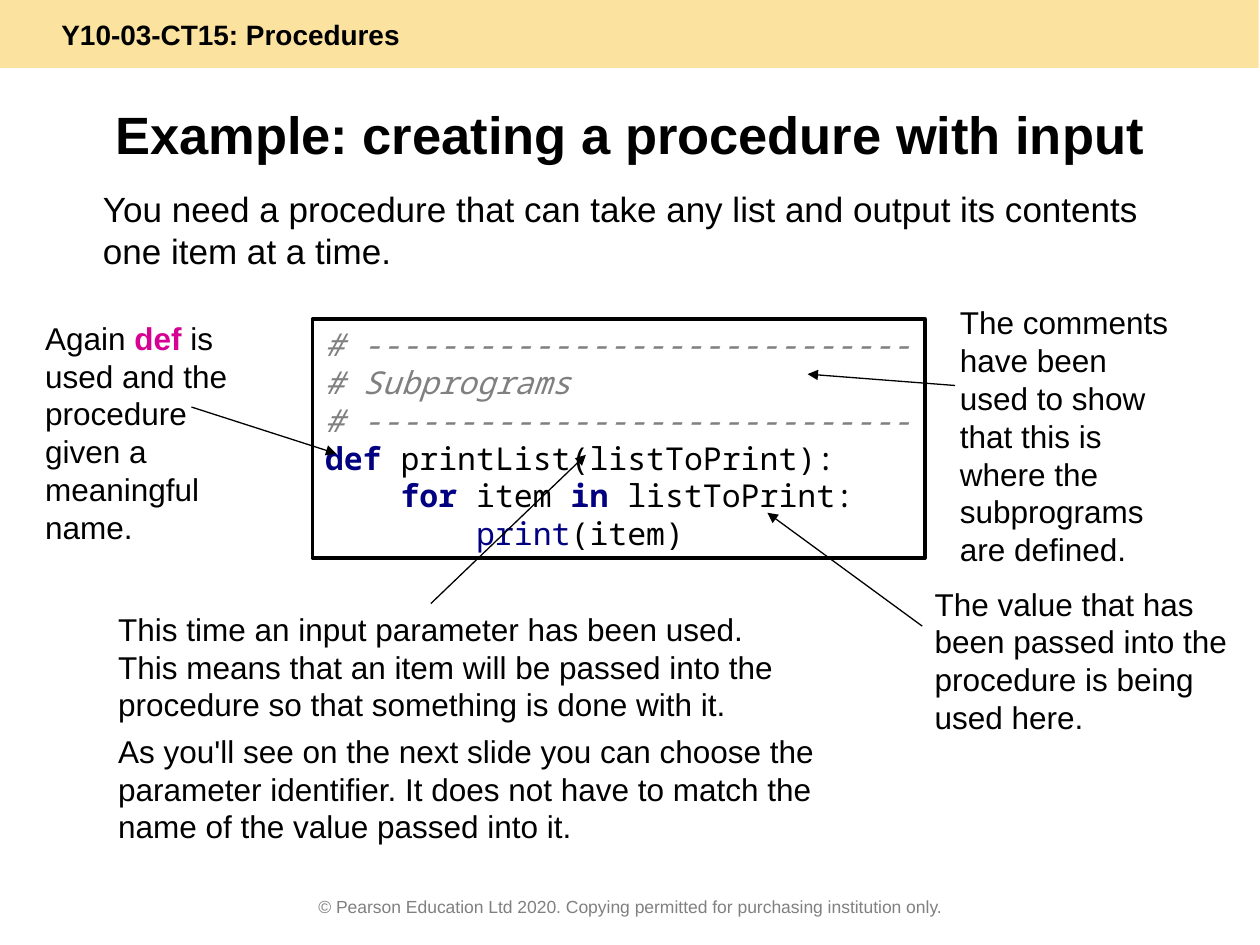
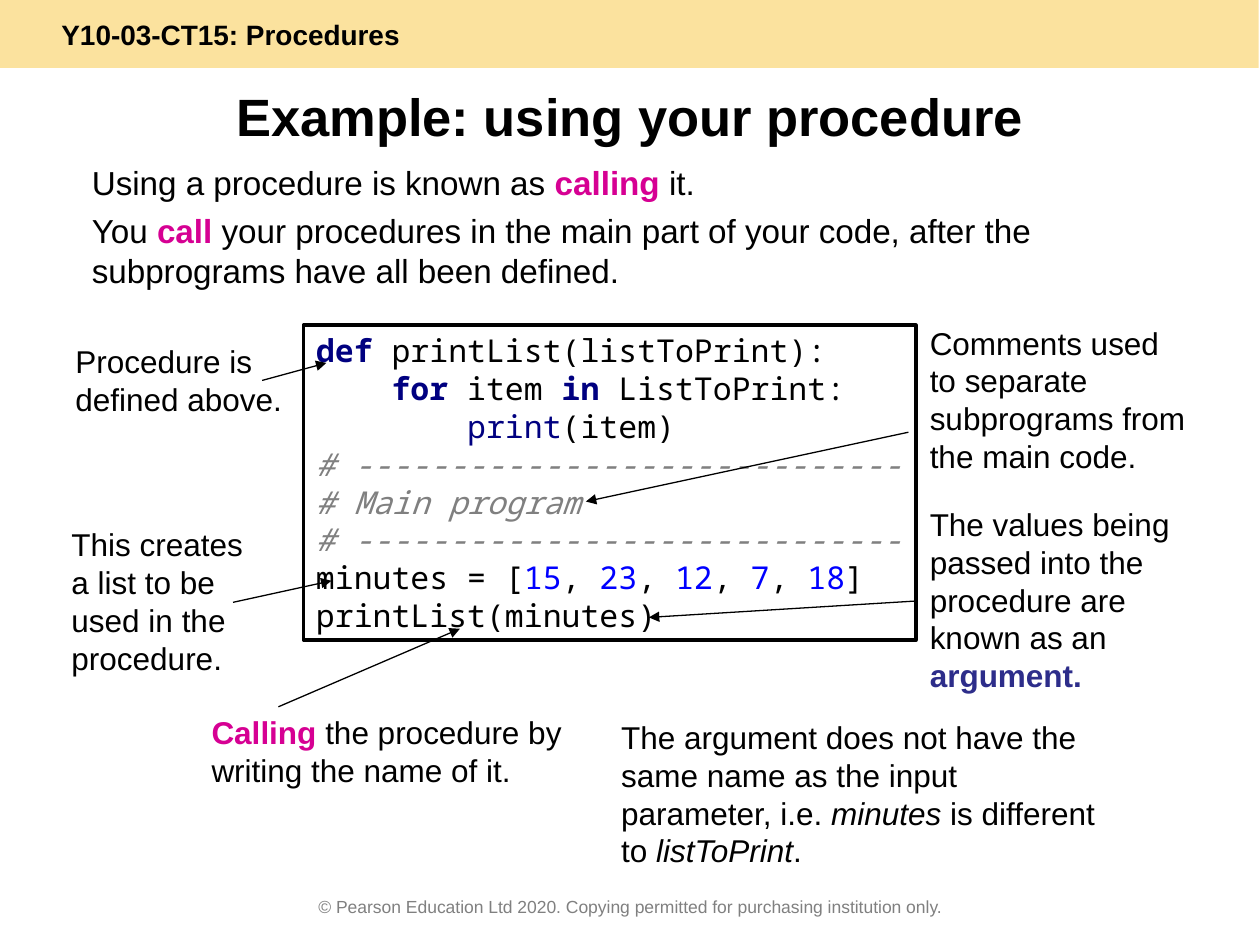
from lxml import etree
from pptx import Presentation
from pptx.dml.color import RGBColor
from pptx.enum import shapes, text
from pptx.oxml.ns import qn
from pptx.util import Pt

BAND = "Y10-03-CT15: Procedures"
COPYRIGHT = "© Pearson Education Ltd 2020. Copying permitted for purchasing institution only."
BODY_FONT, CODE_FONT = "Arial", "Noto Sans Mono"
BLACK, WHITE, GREY, GOLD = "000000", "FFFFFF", "808080", "F9C73E"

# Run styles: colour, bold, italic
STYLES = {
    "plain": (BLACK, False, False),
    "bold": (BLACK, True, False),
    "italic": (BLACK, False, True),
    "term": ("D60093", True, False),
    "argument": ("2D2D8A", True, False),
    "footer": (GREY, False, False),
    "comment": (GREY, False, True),
    "keyword": ("000080", True, False),
    "builtin": ("000080", False, False),
    "number": ("0000FF", False, False),
}


def comment_block(heading):
    rule = "# " + "-" * 29
    return [[(line, "comment")] for line in (rule, "# " + heading, rule)]


def print_list_code(looped_list):
    return [
        [("def ", "keyword"), "printList(listToPrint):"],
        ["    ", ("for ", "keyword"), "item ", ("in ", "keyword"), looped_list + ":"],
        ["        ", ("print", "builtin"), "(item)"],
    ]


def list_assignment(name, values):
    runs = [name + " = ["]
    for position, value in enumerate(values):
        runs += [", "] if position else []
        runs.append((str(value), "number"))
    return runs + ["]"]


# Boxes are left, top, width, height; arrows are start x, y, end x, y.
# A note is its box, its paragraphs (lists of runs) and its arrow.
SLIDES = [
    {
        "title": "Example: creating a procedure with input",
        "title_top": 54.7,
        "intro_box": (51.8, 103.7, 629.3, 56.9),
        "intro_size": 20,
        "intro": [["You need a procedure that can take any list and output "
                   "its contents one item at a time."]],
        "code_box": (178.6, 182.2, 349.9, 136.8),
        "code": comment_block("Subprograms") + print_list_code("listToPrint"),
        "notes": [
            ((18.7, 178.6, 129.6, 136.8),
             [["Again ", ("def ", "term"),
               "is used and the procedure given a meaningful name."]],
             (109.4, 232.6, 192.2, 259.2)),
            ((541.4, 169.9, 136.1, 158.4),
             [["The comments have been used to show that this is where "
               "the subprograms are defined."]],
             (545.8, 220.3, 461.5, 213.8)),
            ((60.5, 344.9, 458.6, 72),
             [["This time an input parameter has been used."],
              ["This means that an item will be passed into the procedure "
               "so that something is done with it."]],
             (246.2, 344.9, 334.8, 259.9)),
            ((527, 330.5, 193, 93.6),
             [["The value that has been passed into the procedure is being used here."]],
             (527, 357.8, 438.5, 293)),
            ((60.5, 414.7, 429.8, 72),
             [["As you'll see on the next slide you can choose the parameter identifier. "
               "It does not have to match the name of the value passed into it."]],
             None),
        ],
    },
    {
        "title": "Example: using your procedure",
        "title_top": 44.6,
        "intro_box": (45.4, 89.3, 629.3, 82.1),
        "intro_size": 19,
        "intro": [
            ["Using a procedure is known as ", ("calling", "term"), " it."],
            ["You ", ("call", "term"), " your procedures in the main part of your code, "
             "after the subprograms have all been defined."],
        ],
        "code_box": (173.5, 185.8, 349.9, 180),
        "code": print_list_code("ListToPrint") + comment_block("Main program") + [
            list_assignment("minutes", (15, 23, 12, 7, 18)),
            ["printList(minutes)"],
        ],
        "notes": [
            ((36, 192.2, 150.5, 50.4),
             [["Procedure is defined above."]],
             (149.8, 217.4, 186.5, 207.4)),
            ((33.8, 296.6, 125.3, 93.6),
             [["This creates a list to be used in the procedure."]],
             (133.2, 344.2, 189.4, 331.9)),
            ((113.8, 403.9, 249.8, 50.4),
             [[("Calling", "term"), " the procedure by writing the name of it."]],
             (159.1, 403.9, 262.8, 359.3)),
            ((524.2, 181.4, 164.2, 93.6),
             [["Comments used to separate subprograms from the main code."]],
             (519.1, 247, 334.8, 286.6)),
            ((524.2, 285.1, 181.4, 115.2),
             [["The values being passed into the procedure are known as an ",
               ("argument.", "argument")]],
             (524.2, 343.4, 370.8, 352.8)),
            ((347.8, 406.8, 287.3, 93.6),
             [["The argument does not have the same name as the input parameter, i.e. ",
               ("minutes", "italic"), " is different to ", ("listToPrint", "italic"), "."]],
             None),
        ],
    },
]


def rgb(colour):
    return RGBColor.from_string(colour)


def add_runs(paragraph, runs, size, font=BODY_FONT):
    """Add runs given as plain strings or (wording, style) pairs."""
    for item in runs:
        wording, style = (item, "plain") if isinstance(item, str) else item
        colour, bold, italic = STYLES[style]
        run = paragraph.add_run()
        run.text = wording
        run.font.name, run.font.size = font, Pt(size)
        run.font.bold, run.font.italic = bold, italic
        run.font.color.rgb = rgb(colour)


def add_text(slide, box, paragraphs, size, align=text.PP_ALIGN.LEFT, gap=0):
    frame = slide.shapes.add_textbox(*map(Pt, box)).text_frame
    frame.word_wrap = True
    for position, runs in enumerate(paragraphs):
        paragraph = frame.add_paragraph() if position else frame.paragraphs[0]
        paragraph.alignment = align
        if position:
            paragraph.space_before = Pt(gap)
        add_runs(paragraph, runs, size)


def add_panel(slide, box, fill):
    """Add a filled rectangle ready for left-aligned text."""
    panel = slide.shapes.add_shape(shapes.MSO_SHAPE.RECTANGLE, *map(Pt, box))
    panel.shadow.inherit = False
    panel.fill.solid()
    panel.fill.fore_color.rgb = rgb(fill)
    panel.text_frame.vertical_anchor = text.MSO_ANCHOR.MIDDLE
    panel.text_frame.paragraphs[0].alignment = text.PP_ALIGN.LEFT
    return panel


def add_band(slide):
    band = add_panel(slide, (0, 0, 719.3, 38.9), GOLD)
    band.line.fill.background()
    colour = next(band.fill._xPr.iter(qn("a:srgbClr")))
    etree.SubElement(colour, qn("a:alpha")).set("val", "50000")
    paragraph = band.text_frame.paragraphs[0]
    paragraph._p.get_or_add_pPr().set("marL", str(Pt(28)))
    add_runs(paragraph, [(BAND, "bold")], 16)


def add_code(slide, box, lines):
    panel = add_panel(slide, box, WHITE)
    panel.line.color.rgb = rgb(BLACK)
    panel.line.width = Pt(2)
    panel.text_frame.word_wrap = False
    paragraph = panel.text_frame.paragraphs[0]
    for position, runs in enumerate(lines):
        if position:
            paragraph.add_line_break()
        add_runs(paragraph, runs, 18, CODE_FONT)


def add_arrow(slide, ends):
    arrow = slide.shapes.add_connector(shapes.MSO_CONNECTOR.STRAIGHT, *map(Pt, ends))
    arrow.line.color.rgb = rgb(BLACK)
    arrow.line.width = Pt(0.75)
    etree.SubElement(arrow.line._get_or_add_ln(), qn("a:tailEnd")).set("type", "triangle")
    etree.SubElement(arrow._element.spPr, qn("a:effectLst"))


def build_slide(deck, content):
    slide = deck.slides.add_slide(deck.slide_layouts[6])
    center = text.PP_ALIGN.CENTER
    add_band(slide)
    add_text(slide, (36, content["title_top"], 648, 67.7),
             [[(content["title"], "bold")]], 30, center)
    add_text(slide, content["intro_box"], content["intro"], content["intro_size"], gap=4.8)
    add_text(slide, (0, 508.3, 720, 22.3), [[(COPYRIGHT, "footer")]], 10, center)
    add_code(slide, content["code_box"], content["code"])
    for box, paragraphs, arrow in content["notes"]:
        add_text(slide, box, paragraphs, 18)
        if arrow:
            add_arrow(slide, arrow)


def main():
    deck = Presentation()
    deck.slide_width, deck.slide_height = Pt(720), Pt(540)
    for content in SLIDES:
        build_slide(deck, content)
    deck.save("out.pptx")


if __name__ == "__main__":
    main()
